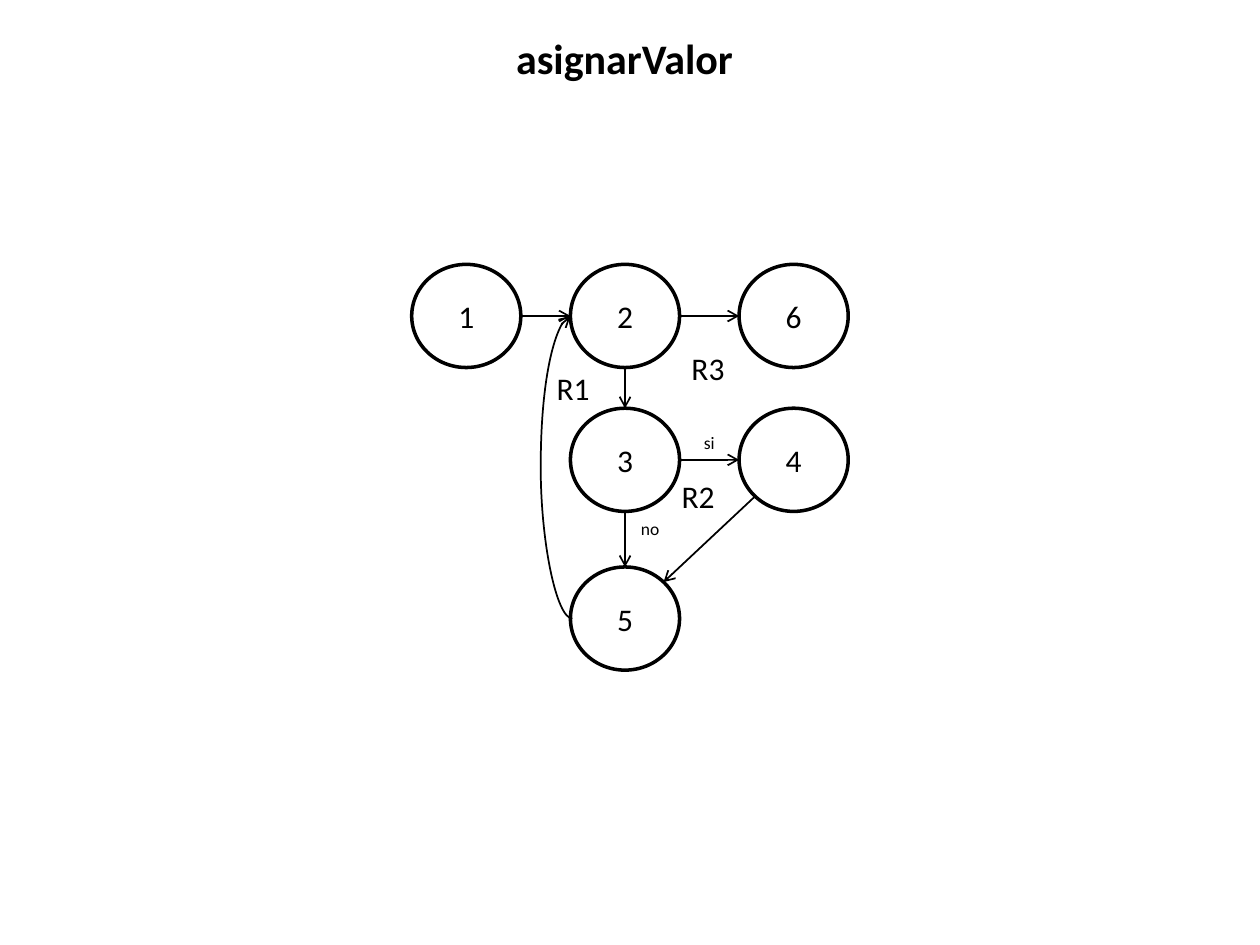
"""Builds a slide with the control flow graph of asignarValor."""
import math

from lxml import etree
from pptx import Presentation
from pptx import util as u
from pptx.dml.color import RGBColor
from pptx.enum import shapes, text
from pptx.oxml import ns

BLACK = RGBColor(0, 0, 0)
FONT = "Calibri"
NODE_WIDTH, NODE_HEIGHT = 2.2, 2.08
COLUMNS = (8.3, 11.5, 14.9)
ROWS = (5.33, 8.23, 11.43)
NODES = {"1": (0, 0), "2": (1, 0), "3": (1, 1), "4": (2, 1), "5": (1, 2), "6": (2, 0)}
RIGHT, DOWN, LEFT, UP = 0, 90, 180, 270
EDGES = (
    ("1", RIGHT, "2", LEFT),
    ("2", DOWN, "3", UP),
    ("3", DOWN, "5", UP),
    ("3", RIGHT, "4", LEFT),
    ("2", RIGHT, "6", LEFT),
    ("4", 135, "5", 315),
)
LABELS = (
    ("si", 13.94, 8.59, 0.74, 0.69, 10),
    ("no", 12.67, 10.31, 0.89, 0.69, 10),
    ("R1", 10.97, 7.32, 1.19, 1.02, 18),
    ("R2", 13.49, 9.5, 1.19, 1.02, 18),
    ("R3", 13.69, 6.91, 1.19, 1.02, 18),
)


def write(box, words, size=18, bold=False, align=text.PP_ALIGN.CENTER,
          anchor=text.MSO_ANCHOR.MIDDLE, wrap=True, fit=text.MSO_AUTO_SIZE.NONE):
    """Put formatted words into a shape."""
    frame = box.text_frame
    frame.word_wrap = wrap
    frame.auto_size = fit
    frame.vertical_anchor = anchor
    para = frame.paragraphs[0]
    para.alignment = align
    span = para.add_run()
    span.text = words
    span.font.name = FONT
    span.font.size = u.Pt(size)
    span.font.bold = bold
    span.font.color.rgb = BLACK


def add_title(page, words):
    """Place and fill the title placeholder."""
    box = page.shapes.title
    box.left, box.top = u.Cm(2.67), u.Cm(0.53)
    box.width, box.height = u.Cm(19.84), u.Cm(1.28)
    write(box, words, size=24, bold=True)


def add_node(page, name):
    """Draw a numbered circle in its grid cell."""
    column, row = NODES[name]
    box = page.shapes.add_shape(
        shapes.MSO_SHAPE.OVAL, u.Cm(COLUMNS[column]), u.Cm(ROWS[row]),
        u.Cm(NODE_WIDTH), u.Cm(NODE_HEIGHT))
    box.shadow.inherit = False
    box.fill.background()
    box.line.color.rgb = BLACK
    box.line.width = u.Pt(2)
    write(box, name)


def rim(name, angle):
    """Return the point on a node's outline at a clockwise angle."""
    column, row = NODES[name]
    turn = math.radians(angle)
    return (COLUMNS[column] + NODE_WIDTH / 2 * (1 + math.cos(turn)),
            ROWS[row] + NODE_HEIGHT / 2 * (1 + math.sin(turn)))


def add_arrow(page, start, end, kind=shapes.MSO_CONNECTOR.STRAIGHT):
    """Draw a thin connector with an open arrowhead at its end."""
    arrow = page.shapes.add_connector(kind, *(u.Cm(value) for value in (*start, *end)))
    arrow.line.color.rgb = BLACK
    arrow.line.width = u.Pt(1)
    etree.SubElement(arrow.line._get_or_add_ln(), ns.qn("a:tailEnd"), type="arrow")
    etree.SubElement(arrow._element.spPr, ns.qn("a:effectLst"))
    return arrow


def add_loop(page, source, target):
    """Draw the curve that leads back up the left side."""
    left, top = rim(target, LEFT)
    bottom = rim(source, LEFT)[1]
    loop = add_arrow(page, (left, top), (left + 0.04, bottom), shapes.MSO_CONNECTOR.CURVE)
    properties = loop._element.spPr
    properties.find(ns.qn("a:xfrm")).set("rot", str(180 * 60000))
    geometry = properties.find(ns.qn("a:prstGeom"))
    guides = geometry.find(ns.qn("a:avLst"))
    if guides is None:
        guides = etree.SubElement(geometry, ns.qn("a:avLst"))
    etree.SubElement(guides, ns.qn("a:gd"), name="adj1", fmla="val 1600000")


def add_label(page, words, left, top, width, height, size):
    """Add a small text box beside an arrow or inside a region."""
    box = page.shapes.add_textbox(*(u.Cm(value) for value in (left, top, width, height)))
    write(box, words, size=size, align=text.PP_ALIGN.LEFT, anchor=text.MSO_ANCHOR.TOP,
          wrap=False, fit=text.MSO_AUTO_SIZE.SHAPE_TO_FIT_TEXT)


def main():
    """Build and save the deck."""
    deck = Presentation()
    deck.slide_width, deck.slide_height = u.Cm(25.4), u.Cm(19.05)
    page = deck.slides.add_slide(deck.slide_layouts.get_by_name("Title Only"))
    add_title(page, "asignarValor")
    for name in NODES:
        add_node(page, name)
    for source, leave, target, arrive in EDGES:
        add_arrow(page, rim(source, leave), rim(target, arrive))
    add_loop(page, "5", "2")
    for label in LABELS:
        add_label(page, *label)
    deck.save("out.pptx")


if __name__ == "__main__":
    main()
